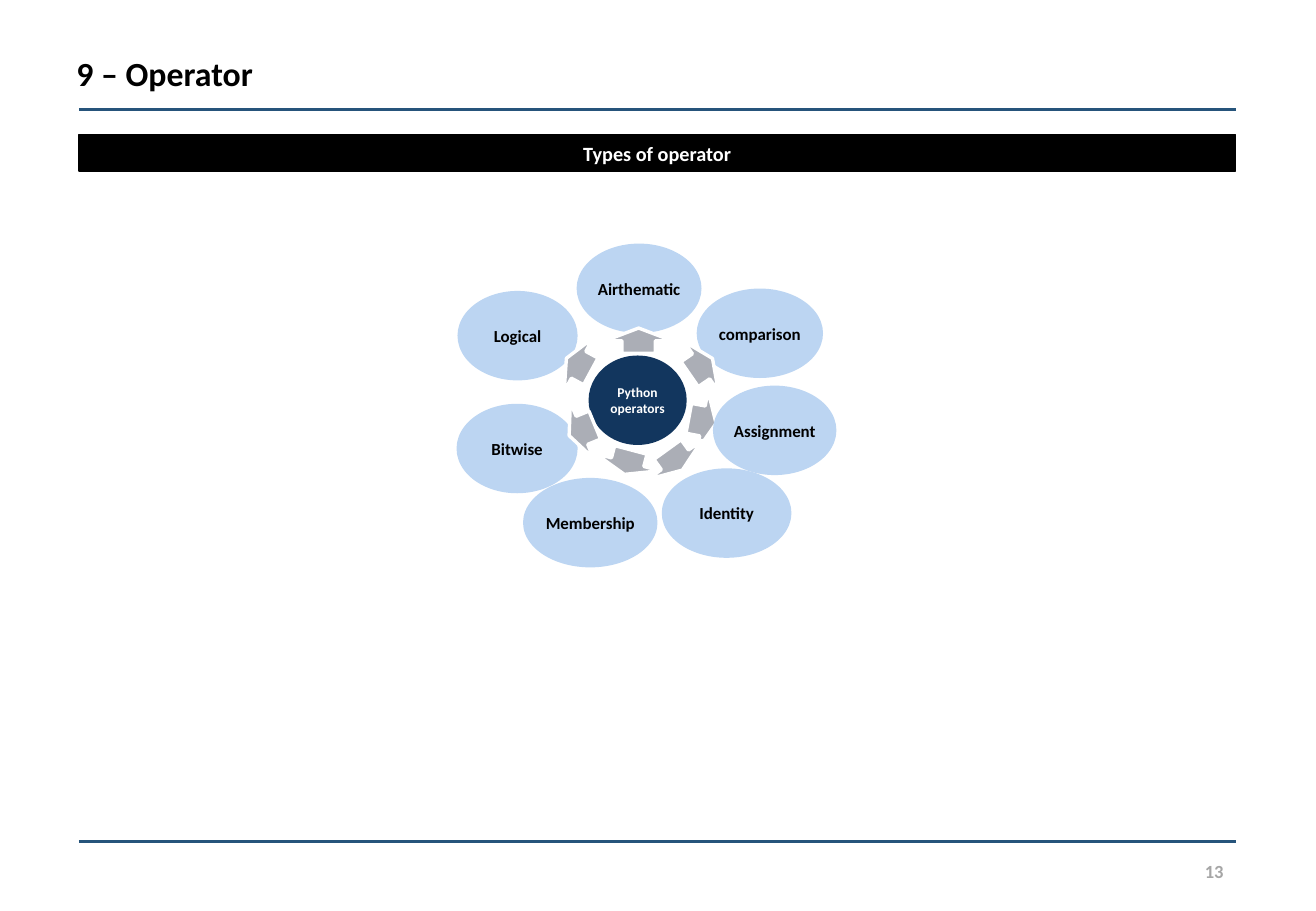
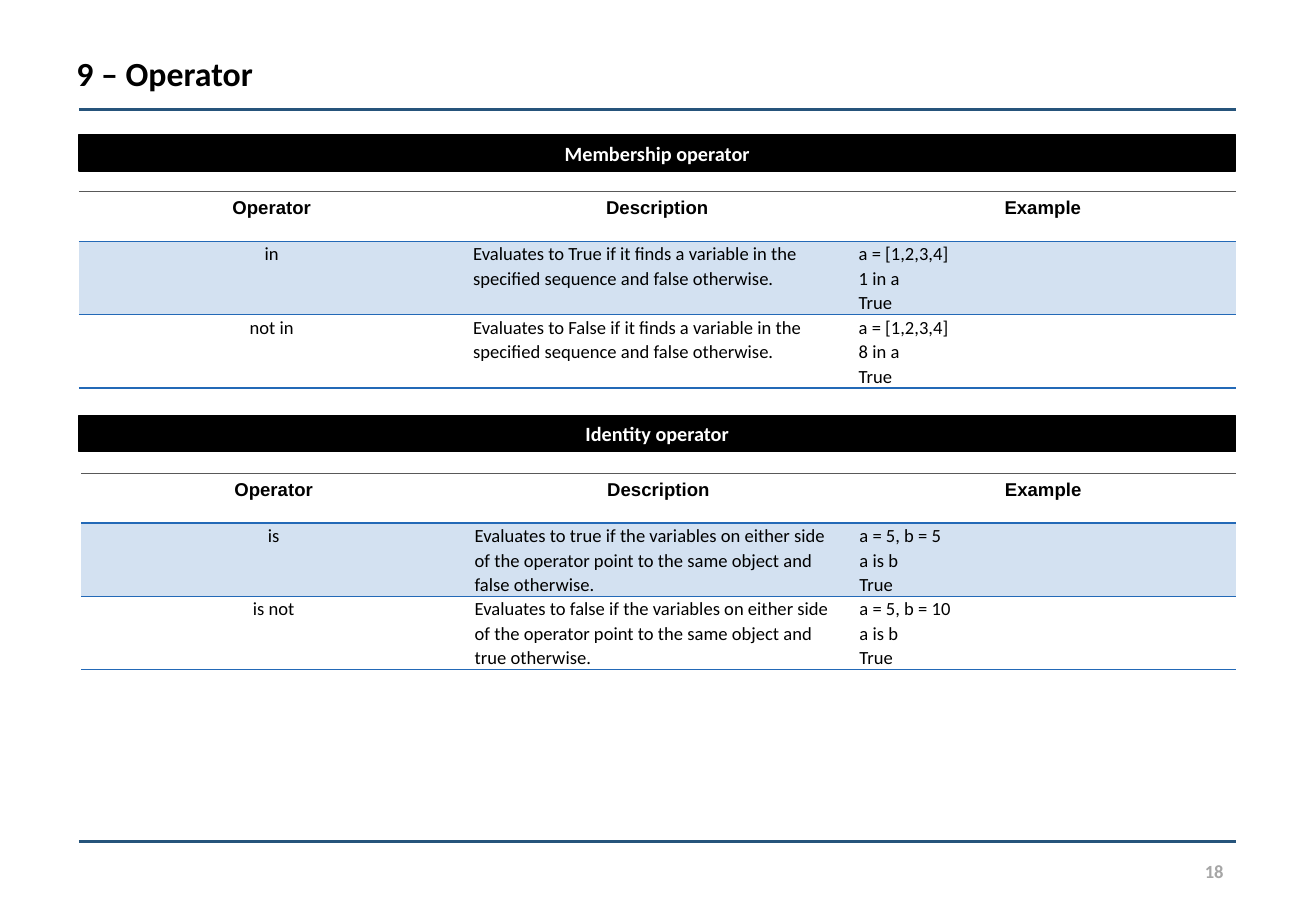
from dataclasses import dataclass

from lxml import etree
from pptx import Presentation
from pptx.dml.color import RGBColor
from pptx.enum.shapes import MSO_CONNECTOR, MSO_SHAPE as Preset
from pptx.enum.text import MSO_ANCHOR as Anchor, PP_ALIGN as Align
from pptx.oxml.ns import qn
from pptx.shapes.autoshape import Shape
from pptx.slide import Slide
from pptx.table import _Cell as Cell
from pptx.text.text import TextFrame
from pptx.util import Cm, Pt

BLACK = RGBColor(0x00, 0x00, 0x00)
WHITE = RGBColor(0xFF, 0xFF, 0xFF)
RULE_BLUE = RGBColor(0x26, 0x54, 0x7B)
PAGE_GREY = RGBColor(0xA6, 0xA6, 0xA6)
BUBBLE_BLUE = RGBColor(0xBC, 0xD5, 0xF2)
HUB_NAVY = RGBColor(0x12, 0x36, 0x5E)
ARROW_GREY = RGBColor(0xAB, 0xAE, 0xB6)
TABLE_BLUE = RGBColor(0x23, 0x69, 0xB7)
TABLE_TINT = RGBColor(0xD3, 0xE1, 0xF1)
HAIRLINE_GREY = RGBColor(0x59, 0x59, 0x59)

BODY_FONT = "Calibri"
HEADER_FONT = "Arial"
NO_TABLE_STYLE = "{2D5ABB26-0587-4C30-8999-92F81FD0307C}"

LEFT, RIGHT = 1.65, 25.83
RULE_TOPS = (2.29, 17.6)
BUBBLE_HEIGHT = 1.8
HEADER_HEIGHT, ROW_HEIGHT = 1.04, 1.53


@dataclass(frozen=True)
class TextStyle:
    size: float
    color: RGBColor = BLACK
    bold: bool = True
    font: str = BODY_FONT
    align: Align = Align.CENTER
    spacing: float = 1.0


@dataclass(frozen=True)
class Bubble:
    label: str
    left: float
    top: float
    width: float
    fill: RGBColor = BUBBLE_BLUE


@dataclass(frozen=True)
class Arrow:
    left: float
    top: float
    rotation: float
    width: float = 1.27
    height: float = 0.58


@dataclass(frozen=True)
class Operator:
    symbol: str
    description: str
    example: tuple[str, ...]


@dataclass(frozen=True)
class OperatorSection:
    heading: str
    bar_top: float
    table_left: float
    table_top: float
    operators: tuple[Operator, ...]


TITLE = TextStyle(20, align=Align.LEFT)
PAGE_NUMBER = TextStyle(11, PAGE_GREY, align=Align.RIGHT)
BAR_TEXT = TextStyle(12, WHITE)
BUBBLE_TEXT = TextStyle(10)
HUB_TEXT = TextStyle(8, WHITE)
TABLE_HEADER = TextStyle(11, font=HEADER_FONT)
SYMBOL_TEXT = TextStyle(11, bold=False, spacing=1.07)
DETAIL_TEXT = TextStyle(11, bold=False, align=Align.LEFT, spacing=1.07)

HUB = Bubble("Python operators", 12.34, 7.47, 1.98, HUB_NAVY)
# Back to front
WHEEL: tuple[Bubble | Arrow, ...] = (
    Bubble("comparison", 14.6, 6.07, 2.57),
    Bubble("Logical", 9.6, 6.12, 2.44),
    HUB,
    Bubble("Airthematic", 12.09, 5.13, 2.54),
    Bubble("Membership", 10.97, 10.03, 2.74),
    Arrow(12.42, 9.4, 14.9, 1.4, 0.53),
    Arrow(12.65, 6.86, 180, 1.4, 0.53),
    Arrow(14.02, 7.37, 235.4),
    Arrow(11.46, 7.34, 118.4),
    Arrow(14.05, 8.51, 280.6),
    Bubble("Assignment", 14.94, 8.1, 2.51),
    Bubble("Bitwise", 9.58, 8.48, 2.46),
    Arrow(11.53, 8.71, 67.6),
    Bubble("Identity", 13.87, 9.83, 2.64),
    Arrow(13.41, 9.35, 324.2, 1.4, 0.53),
)

COLUMNS = ("Operator", "Description", "Example")
SECTIONS = (
    OperatorSection("Membership operator", 2.82, LEFT, 4.01, (
        Operator("in", "Evaluates to True if it finds a variable in the "
                 "specified sequence and false otherwise.",
                 ("a = [1,2,3,4]", "1 in a", "True")),
        Operator("not in", "Evaluates to False if it finds a variable in the "
                 "specified sequence and false otherwise.",
                 ("a = [1,2,3,4]", "8 in a", "True")),
    )),
    OperatorSection("Identity operator", 8.69, 1.7, 9.9, (
        Operator("is", "Evaluates to true if the variables on either side of "
                 "the operator point to the same object and false otherwise.",
                 ("a = 5, b = 5", "a is b", "True")),
        Operator("is not", "Evaluates to false if the variables on either side of "
                 "the operator point to the same object and true otherwise.",
                 ("a = 5, b = 10", "a is b", "True")),
    )),
)


def write(frame: TextFrame, lines: tuple[str, ...], style: TextStyle) -> None:
    frame.word_wrap = True
    for index, line in enumerate(lines):
        paragraph = frame.add_paragraph() if index else frame.paragraphs[0]
        paragraph.alignment = style.align
        paragraph.line_spacing = style.spacing
        run = paragraph.add_run()
        run.text = line
        run.font.size = Pt(style.size)
        run.font.name = style.font
        run.font.bold = style.bold
        run.font.color.rgb = style.color


def add_label(slide: Slide, box: tuple[float, float, float, float], text: str,
              style: TextStyle, anchor: Anchor) -> None:
    frame = slide.shapes.add_textbox(*map(Cm, box)).text_frame
    frame.vertical_anchor = anchor
    write(frame, (text,), style)


def add_preset(slide: Slide, preset: Preset, box: tuple[float, float, float, float],
               fill: RGBColor, outline: RGBColor, weight: float) -> Shape:
    shape = slide.shapes.add_shape(preset, *map(Cm, box))
    shape.shadow.inherit = False
    shape.fill.solid()
    shape.fill.fore_color.rgb = fill
    shape.line.color.rgb = outline
    shape.line.width = Pt(weight)
    return shape


def add_rule(slide: Slide, top: float) -> None:
    rule = slide.shapes.add_connector(
        MSO_CONNECTOR.STRAIGHT, Cm(LEFT), Cm(top), Cm(RIGHT), Cm(top))
    rule.line.color.rgb = RULE_BLUE
    rule.line.width = Pt(1.5)
    etree.SubElement(rule._element.spPr, qn("a:effectLst"))


def add_framed_slide(deck: Presentation, page: str) -> Slide:
    """Add a slide with the title, both rules and the page number."""
    slide = deck.slides.add_slide(deck.slide_layouts[6])
    for top in RULE_TOPS:
        add_rule(slide, top)
    add_label(slide, (21.16, 17.6, 4.67, 1.24), page, PAGE_NUMBER, Anchor.MIDDLE)
    add_label(slide, (1.35, 0.97, 24.89, 1.14), "9 – Operator", TITLE, Anchor.TOP)
    return slide


def add_heading_bar(slide: Slide, top: float, heading: str) -> None:
    bar = add_preset(slide, Preset.RECTANGLE, (LEFT, top, RIGHT - LEFT, 0.76),
                     BLACK, BLACK, 0.75)
    bar.text_frame.vertical_anchor = Anchor.MIDDLE
    write(bar.text_frame, (heading,), BAR_TEXT)


def add_bubble(slide: Slide, bubble: Bubble) -> None:
    box = (bubble.left, bubble.top, bubble.width, BUBBLE_HEIGHT)
    shape = add_preset(slide, Preset.OVAL, box, bubble.fill, bubble.fill, 2)
    frame = shape.text_frame
    frame.margin_left = frame.margin_right = frame.margin_top = frame.margin_bottom = 0
    frame.vertical_anchor = Anchor.MIDDLE
    write(frame, (bubble.label,), HUB_TEXT if bubble is HUB else BUBBLE_TEXT)


def add_arrow(slide: Slide, arrow: Arrow) -> None:
    box = (arrow.left, arrow.top, arrow.width, arrow.height)
    shape = add_preset(slide, Preset.DOWN_ARROW, box, ARROW_GREY, WHITE, 2)
    shape.rotation = arrow.rotation


def set_border(cell: Cell, index: int, side: str, color: RGBColor, weight: float) -> None:
    """Insert a border at the given place, ahead of the cell's fill."""
    border = etree.Element(qn(f"a:{side}"), w=str(Pt(weight)))
    fill = etree.SubElement(border, qn("a:solidFill"))
    etree.SubElement(fill, qn("a:srgbClr"), val=str(color))
    cell._tc.get_or_add_tcPr().insert(index, border)


def add_operator_table(slide: Slide, section: OperatorSection) -> None:
    heights = (HEADER_HEIGHT, *(ROW_HEIGHT for _ in section.operators))
    table = slide.shapes.add_table(
        len(heights), len(COLUMNS), Cm(section.table_left), Cm(section.table_top),
        Cm(RIGHT - section.table_left), Cm(sum(heights))).table
    table.first_row = table.horz_banding = False
    table._tbl.tblPr.find(qn("a:tableStyleId")).text = NO_TABLE_STYLE
    for row, height in zip(table.rows, heights):
        row.height = Cm(height)

    for cell, name in zip(table.rows[0].cells, COLUMNS):
        cell.fill.background()
        write(cell.text_frame, (name,), TABLE_HEADER)
        set_border(cell, 0, "lnT", HAIRLINE_GREY, 0.5)
        set_border(cell, 1, "lnB", TABLE_BLUE, 1)

    for number, operator in enumerate(section.operators, start=1):
        contents = ((operator.symbol,), (operator.description,), operator.example)
        for column, lines in enumerate(contents):
            cell = table.cell(number, column)
            cell.margin_left = cell.margin_right = Cm(0.18)
            cell.margin_top = cell.margin_bottom = 0
            write(cell.text_frame, lines, DETAIL_TEXT if column else SYMBOL_TEXT)
            if number % 2:
                cell.fill.solid()
                cell.fill.fore_color.rgb = TABLE_TINT
            else:
                cell.fill.background()
            if number == 1:
                set_border(cell, 0, "lnT", TABLE_BLUE, 1)
            if number == len(section.operators):
                set_border(cell, 0, "lnB", TABLE_BLUE, 1)


def build_types_slide(deck: Presentation) -> None:
    slide = add_framed_slide(deck, "13")
    add_heading_bar(slide, 2.82, "Types of operator")
    for part in WHEEL:
        if isinstance(part, Bubble):
            add_bubble(slide, part)
        else:
            add_arrow(slide, part)


def build_tables_slide(deck: Presentation) -> None:
    slide = add_framed_slide(deck, "18")
    for section in SECTIONS:
        add_heading_bar(slide, section.bar_top, section.heading)
        add_operator_table(slide, section)


def main() -> None:
    deck = Presentation()
    deck.slide_width, deck.slide_height = Cm(27.51), Cm(19.05)
    build_types_slide(deck)
    build_tables_slide(deck)
    deck.save("out.pptx")


if __name__ == "__main__":
    main()
